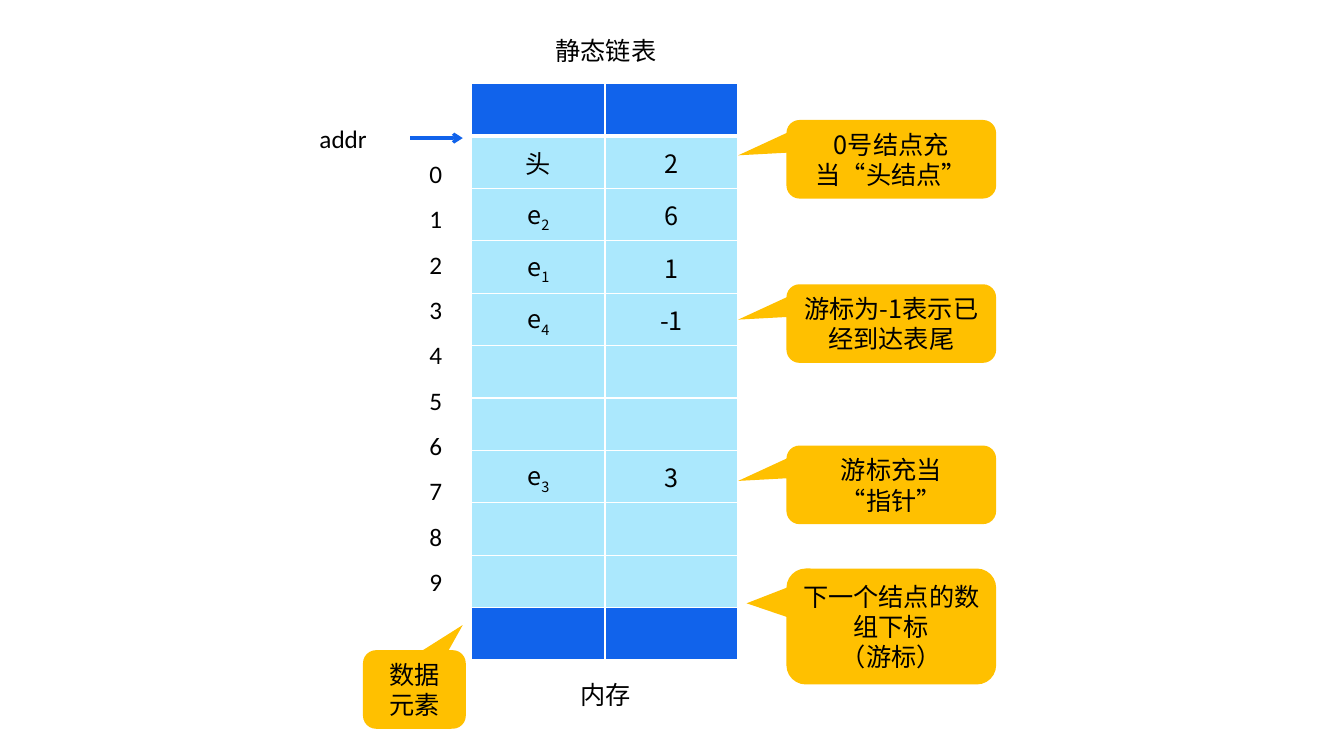
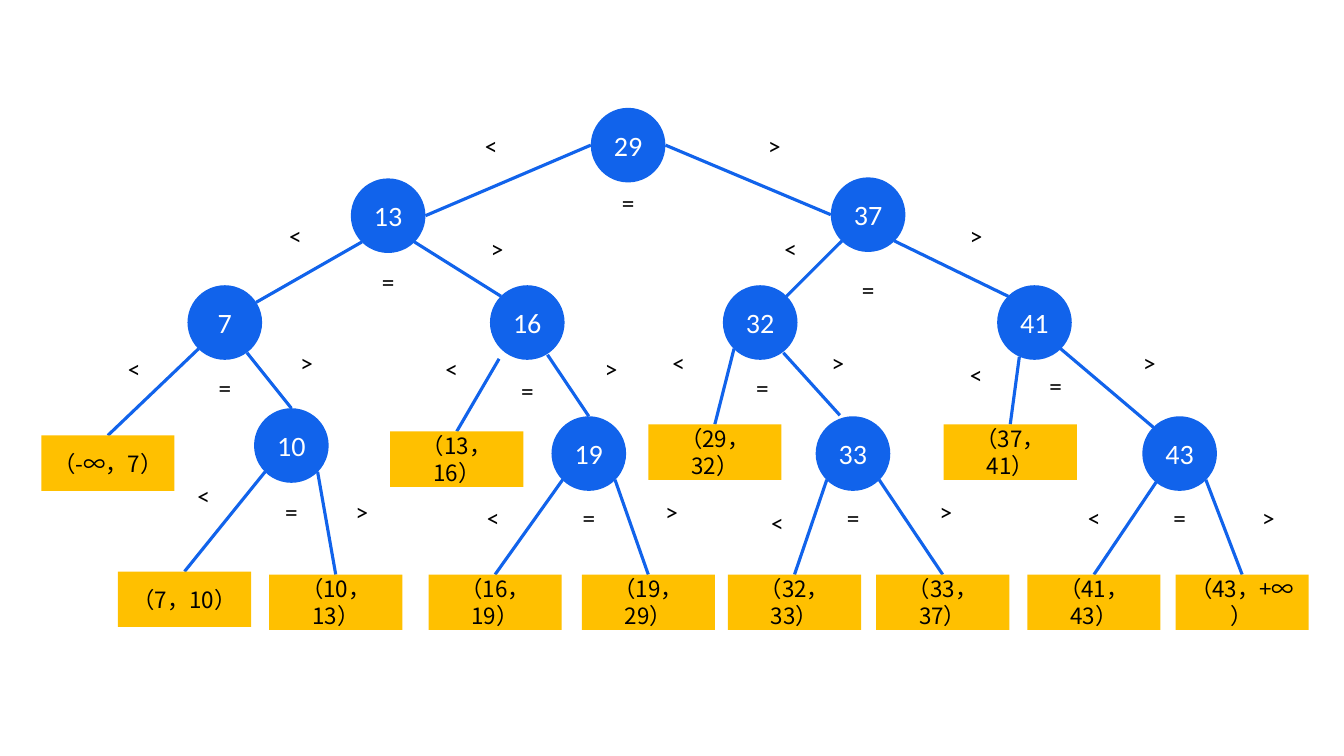
from pptx import Presentation
from pptx.dml.color import RGBColor
from pptx.enum.shapes import MSO_CONNECTOR, MSO_SHAPE
from pptx.enum.text import MSO_ANCHOR, PP_ALIGN
from pptx.oxml.ns import qn
from pptx.util import Pt
from lxml import etree

PX = 9144  # 100 px to the inch
LEFT, MID = PP_ALIGN.LEFT, PP_ALIGN.CENTER
TOP, CENTER = MSO_ANCHOR.TOP, MSO_ANCHOR.MIDDLE
BUBBLE, OVAL, RECT = (MSO_SHAPE.ROUNDED_RECTANGULAR_CALLOUT,
                      MSO_SHAPE.OVAL, MSO_SHAPE.RECTANGLE)
STRAIGHT = MSO_CONNECTOR.STRAIGHT
COLORS = {"blue": "1163EB", "pale": "ABE8FD", "gold": "FFC000",
          "black": "000000", "white": "FFFFFF"}
LATIN, HAN = "Calibri", "Noto Sans CJK SC"

# Slide 1: static linked list; "_" starts a subscript
CELLS = [("", ""), ("头", "2"), ("e_2", "6"), ("e_1", "1"), ("e_4", "-1"),
         ("", ""), ("", ""), ("e_3", "3"), ("", ""), ("", ""), ("", "")]
GRID = (468, 83)
COL, ROW = 132, 52
LABELS = [  # text, box, font, alignment
    ("addr", (307, 117, 71, 40), LATIN, LEFT),
    ("静态链表", (541, 30, 120, 40), HAN, MID),
    ("内存", (566, 669, 70, 40), HAN, MID),
]
INDEX = (416, 137, 34, 464)
POINTER = ((407, 137), (459, 137))
CALLOUTS = [  # text, box, tip
    ("数据元素", (360, 645, 102, 78), (0.47, -0.82)),
    ("0号结点充当“头结点”", (780, 119, 208, 78), (-0.73, -0.05)),
    ("游标为-1表示已经到达表尾", (780, 282, 208, 78), (-0.73, -0.05)),
    ("游标充当\n“指针”", (780, 442, 208, 78), (-0.73, -0.05)),
    ("下一个结点的数组下标\n（游标）", (780, 564, 208, 115), (-0.69, -0.2)),
]

# Slide 2: decision tree of a binary search
NODE, LEAF_W, LEAF_H = 74, 132, 55
SIGN_W, SIGN_H = 32, 40
NODES = {  # key: centre
    "29": (623, 144), "13": (385, 214), "37": (861, 213),
    "7": (223, 320), "16": (523, 320), "32": (754, 320), "41": (1026, 320),
    "10": (289, 442), "19": (584, 450), "33": (846, 450), "43": (1170, 450),
}
LEAVES = {  # range: middle of the top edge
    "（-∞，7）": (107, 432), "（7，10）": (183, 567), "（10，13）": (333, 570),
    "（13，16）": (453, 428), "（16，19）": (491, 570), "（19，29）": (643, 570),
    "（29，32）": (709, 421), "（32，33）": (788, 570), "（33，37）": (935, 570),
    "（37，41）": (1002, 421), "（41，43）": (1085, 570), "（43，+∞）": (1232, 570),
}
EQUALS = {  # key: middle of the top edge
    "29": (623, 181), "13": (385, 259), "37": (861, 267), "7": (223, 364),
    "16": (523, 367), "32": (756, 364), "41": (1047, 362), "10": (289, 487),
    "19": (584, 493), "33": (846, 493), "43": (1170, 493),
}
# Offsets from a node's centre
RAD, DIAG = NODE // 2, 26
SITES = {"w": (-RAD, 0), "e": (RAD, 0), "n": (0, -RAD),
         "sw": (-DIAG, DIAG), "se": (DIAG, DIAG),
         "nw": (-DIAG, -DIAG), "ne": (DIAG, -DIAG)}
BRANCHES = [  # parent, site, child, site, sign, middle of the sign's top edge
    ("29", "w", "13", "e", "<", (487, 124)),
    ("29", "e", "37", "w", ">", (768, 124)),
    ("13", "sw", "7", (31, -20), "<", (293, 214)),
    ("13", "se", "16", "nw", ">", (493, 227)),
    ("37", "sw", "32", "ne", "<", (784, 227)),
    ("37", "se", "41", "nw", ">", (968, 214)),
    ("7", "sw", "（-∞，7）", None, "<", (133, 346)),
    ("7", (22, 30), "10", "n", ">", (304, 340)),
    ("16", (-28, 36), "（13，16）", None, "<", (448, 346)),
    ("16", (20, 32), "19", "n", ">", (606, 346)),
    ("32", "sw", "（29，32）", None, "<", (673, 340)),
    ("32", (23, 30), "33", (-13, -38), ">", (831, 340)),
    ("41", (-15, 34), "（37，41）", None, "<", (968, 352)),
    ("41", "se", "43", "nw", ">", (1140, 340)),
    ("10", "sw", "（7，10）", None, "<", (202, 472)),
    ("10", "se", "（10，13）", None, ">", (359, 487)),
    ("19", "sw", "（16，19）", None, "<", (489, 493)),
    ("19", "se", "（19，29）", None, ">", (666, 487)),
    ("33", "sw", "（32，33）", None, "<", (771, 498)),
    ("33", "se", "（33，37）", None, ">", (938, 487)),
    ("43", (-19, 22), "（41，43）", None, "<", (1085, 493)),
    ("43", "se", "（43，+∞）", None, ">", (1258, 493)),
]


def emu(*vals):
    return [v * PX for v in vals]


def rgb(name):
    return RGBColor.from_string(COLORS[name])


def write(frame, text, size=18, font=HAN, color="black", align=MID,
          anchor=CENTER, wrap=True, space=None):
    frame.word_wrap = wrap
    frame.vertical_anchor = anchor
    for i, line in enumerate(text.split("\n")):
        para = frame.paragraphs[0] if i == 0 else frame.add_paragraph()
        para.alignment = align
        if space:
            para.line_spacing = space
        for j, part in enumerate(line.split("_")):
            run = para.add_run()
            run.text = part
            run.font.size = Pt(size)
            run.font.color.rgb = rgb(color)
            run.font.name = font
            props = run.font._element
            etree.SubElement(props, qn("a:ea")).set("typeface", font)
            if j:
                props.set("baseline", "-25000")


def label(slide, text, box, **fmt):
    frame = slide.shapes.add_textbox(*emu(*box)).text_frame
    write(frame, text, anchor=TOP, wrap=False, **fmt)


def block(slide, kind, text, box, fill, **fmt):
    shape = slide.shapes.add_shape(kind, *emu(*box))
    shape.shadow.inherit = False
    shape.fill.solid()
    shape.fill.fore_color.rgb = rgb(fill)
    shape.line.fill.background()
    write(shape.text_frame, text, **fmt)
    return shape


def link(slide, start, end, arrow=False):
    line = slide.shapes.add_connector(STRAIGHT, *emu(*start, *end))
    line.line.color.rgb = rgb("blue")
    line.line.width = Pt(2.25)
    if arrow:
        tail = etree.SubElement(line.line._get_or_add_ln(), qn("a:tailEnd"))
        tail.set("type", "arrow")
    etree.SubElement(line._element.spPr, qn("a:effectLst"))


def border(cell, widths):
    props = cell._tc.get_or_add_tcPr()
    for i, (side, width) in enumerate(zip("LRTB", widths)):
        edge = etree.Element(qn("a:ln" + side), w=str(Pt(width)))
        fill = etree.SubElement(edge, qn("a:solidFill"))
        etree.SubElement(fill, qn("a:srgbClr")).set("val", COLORS["white"])
        props.insert(i, edge)


def memory(slide):
    # Table
    rows = len(CELLS)
    table = slide.shapes.add_table(
        rows, 2, *emu(*GRID, 2 * COL, rows * ROW)).table
    table.first_row = table.horz_banding = False
    for col in table.columns:
        col.width = COL * PX
    for r, texts in enumerate(CELLS):
        table.rows[r].height = ROW * PX
        for c, text in enumerate(texts):
            cell = table.cell(r, c)
            cell.fill.solid()
            cell.fill.fore_color.rgb = rgb(
                "blue" if r in (0, rows - 1) else "pale")
            border(cell, (1, 1, 3 if r == 1 else 1, 3 if r == 0 else 1))
            cell.vertical_anchor = CENTER
            if text:
                write(cell.text_frame, text)
    # Address and row numbers
    link(slide, *POINTER, arrow=True)
    label(slide, "\n".join(map(str, range(10))), INDEX,
          font=LATIN, align=LEFT, space=1.5)
    # Callouts and captions
    for text, box, tip in CALLOUTS:
        shape = block(slide, BUBBLE, text, box, "gold")
        shape.adjustments[0], shape.adjustments[1] = tip
    for text, box, font, align in LABELS:
        label(slide, text, box, font=font, align=align)


def place(key, site):
    if key in LEAVES:
        return LEAVES[key]
    x, y = NODES[key]
    dx, dy = SITES.get(site, site)
    return x + dx, y + dy


def sign(slide, text, spot):
    x, y = spot
    label(slide, text, (x - SIGN_W // 2, y, SIGN_W, SIGN_H), font=LATIN)


def tree(slide):
    # Nodes with their equal signs
    for key, (x, y) in NODES.items():
        block(slide, OVAL, key, (x - RAD, y - RAD, NODE, NODE), "blue",
              size=20, font=LATIN, color="white")
        sign(slide, "=", EQUALS[key])
    # Branches
    for key, start, child, end, mark, spot in BRANCHES:
        link(slide, place(key, start), place(child, end))
        sign(slide, mark, spot)
    # Ranges
    for text, (x, y) in LEAVES.items():
        block(slide, RECT, text, (x - LEAF_W // 2, y, LEAF_W, LEAF_H), "gold",
              size=16)


def main():
    deck = Presentation()
    deck.slide_width, deck.slide_height = emu(1333, 750)
    for draw in (memory, tree):
        draw(deck.slides.add_slide(deck.slide_layouts[6]))
    deck.save("out.pptx")


if __name__ == "__main__":
    main()
